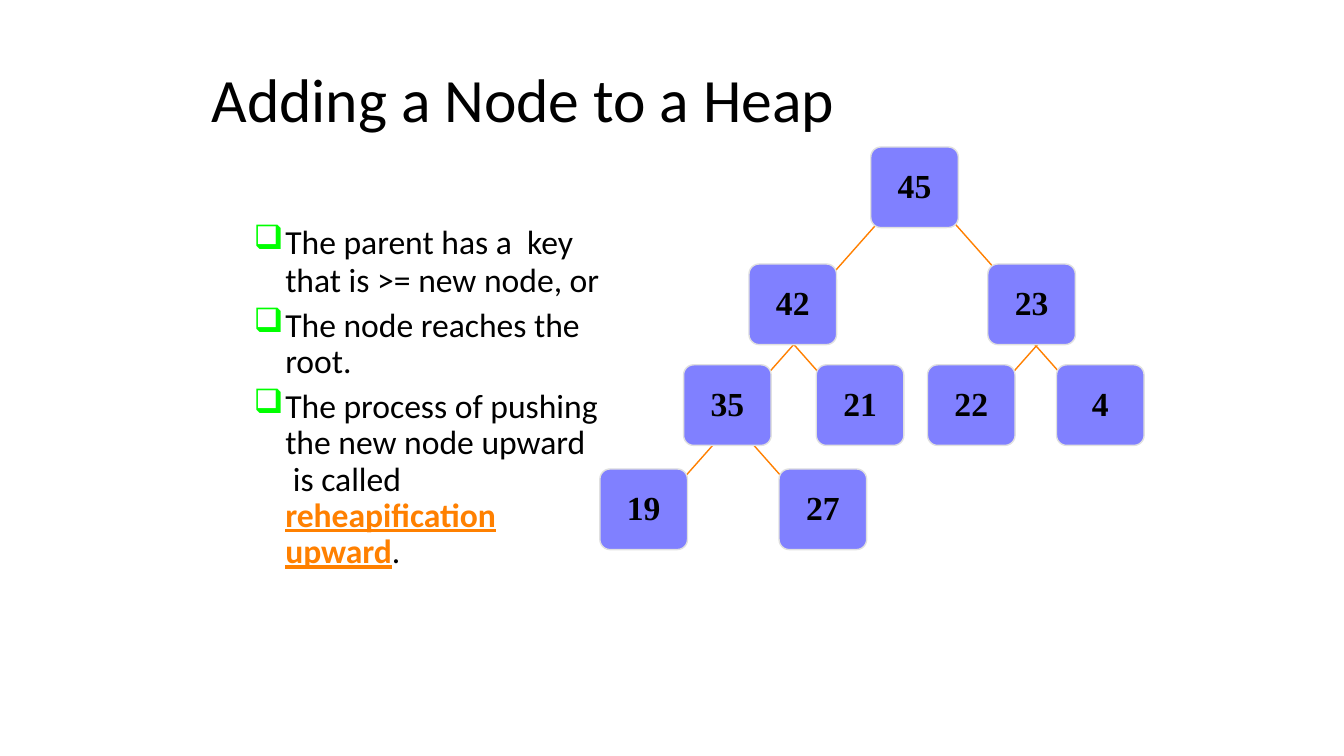
"""Build a slide on adding a node to a heap."""
from lxml import etree
from pptx import Presentation
from pptx.dml.color import RGBColor
from pptx.enum.shapes import MSO_CONNECTOR, MSO_SHAPE
from pptx.enum.text import MSO_ANCHOR, PP_ALIGN
from pptx.oxml.ns import qn
from pptx.util import Pt

STRAIGHT = MSO_CONNECTOR.STRAIGHT
ROUNDED = MSO_SHAPE.ROUNDED_RECTANGLE
MIDDLE = MSO_ANCHOR.MIDDLE
CENTER = PP_ALIGN.CENTER

COLORS = {
    "text": "000000",
    "accent": "FF8000",
    "bullet": "00FF00",
    "node": "8080FF",
    "border": "E0E0E0",
}
NODE_WIDTH, NODE_HEIGHT = 62.6, 57.6
EDGE_WIDTH, EDGE_HEIGHT = 44.6, 50.4
BULLET_INDENT = 22.5

LEVELS = [
    (105, [("45", 622)]),
    (188.6, [("42", 535), ("23", 705.6)]),
    (260.6, [("35", 488.3), ("21", 583.1), ("22", 662.5), ("4", 754.7)]),
    (335, [("19", 428.5), ("27", 556.5)]),
]
LEFT, RIGHT = -1, 1
EDGES = [
    (626.4, 159.8, LEFT),
    (679, 156.3, RIGHT),
    (579.6, 231.8, LEFT),
    (554.4, 231.8, RIGHT),
    (753.8, 231.8, LEFT),
    (726.5, 231.8, RIGHT),
    (519.8, 306, LEFT),
    (527.8, 306, RIGHT),
]
BULLETS = [
    (0.95, [("The parent has a  key that is >= new node, or", False)]),
    (0.9, [("The node reaches the root.", False)]),
    (0.9, [
        ("The process of pushing the new node upward\v is called\v", False),
        ("reheapification", True),
        ("\v", False),
        ("upward", True),
        (".", False),
    ]),
]


def color(name):
    return RGBColor.from_string(COLORS[name])


def style(paragraph, font_name, size, spacing):
    paragraph.line_spacing = spacing
    paragraph.font.name = font_name
    paragraph.font.size = Pt(size)


def add_text_frame(slide, left, top, width, height):
    box = slide.shapes.add_textbox(Pt(left), Pt(top), Pt(width), Pt(height))
    box.text_frame.word_wrap = True
    return box.text_frame


def add_title(slide, text):
    frame = add_text_frame(slide, 144, 27.4, 612, 90)
    frame.vertical_anchor = MIDDLE
    paragraph = frame.paragraphs[0]
    paragraph.text = text
    style(paragraph, "Calibri", 44, 0.95)
    paragraph.font.color.rgb = color("text")


def add_bullet(paragraph):
    properties = paragraph._p.get_or_add_pPr()
    properties.set("marL", str(Pt(BULLET_INDENT)))
    properties.set("indent", str(-Pt(BULLET_INDENT)))
    bullet_color = etree.SubElement(properties, qn("a:buClr"))
    etree.SubElement(bullet_color, qn("a:srgbClr"), val=COLORS["bullet"])
    etree.SubElement(properties, qn("a:buChar"), char="❑")


def add_bullet_list(slide, items):
    frame = add_text_frame(slide, 174.2, 156.2, 280.8, 273.6)
    for index, (spacing, runs) in enumerate(items):
        paragraph = frame.add_paragraph() if index else frame.paragraphs[0]
        add_bullet(paragraph)
        style(paragraph, "Calibri", 24, spacing)
        if index:
            paragraph.space_before = Pt(6)
        for text, is_term in runs:
            add_run(paragraph, text, is_term)


def add_run(paragraph, text, is_term):
    for index, line in enumerate(text.split("\v")):
        if index:
            paragraph.add_line_break()
        if line:
            run = paragraph.add_run()
            run.text = line
            run.font.color.rgb = color("accent" if is_term else "text")
            if is_term:
                run.font.bold = True
                run.font.underline = True


def add_edge(slide, x, y, direction):
    edge = slide.shapes.add_connector(
        STRAIGHT, Pt(x), Pt(y), Pt(x + direction * EDGE_WIDTH), Pt(y + EDGE_HEIGHT))
    edge.line.color.rgb = color("accent")
    edge.line.width = Pt(1)
    etree.SubElement(edge._element.spPr, qn("a:effectLst"))


def add_node(slide, key, left, top):
    node = slide.shapes.add_shape(
        ROUNDED, Pt(left), Pt(top), Pt(NODE_WIDTH), Pt(NODE_HEIGHT))
    node.adjustments[0] = 0.126
    node.shadow.inherit = False
    node.fill.solid()
    node.fill.fore_color.rgb = color("node")
    node.line.color.rgb = color("border")
    node.line.width = Pt(1)
    node.text_frame.vertical_anchor = MIDDLE
    paragraph = node.text_frame.paragraphs[0]
    paragraph.text = key
    paragraph.alignment = CENTER
    style(paragraph, "Times New Roman", 24, 0.95)
    paragraph.font.bold = True
    paragraph.font.color.rgb = color("text")


def main():
    presentation = Presentation()
    presentation.slide_width = Pt(960)
    presentation.slide_height = Pt(540)
    slide = presentation.slides.add_slide(presentation.slide_layouts[6])
    add_title(slide, "Adding a Node to a Heap")
    add_bullet_list(slide, BULLETS)
    for edge in EDGES:
        add_edge(slide, *edge)
    for top, nodes in LEVELS:
        for key, left in nodes:
            add_node(slide, key, left, top)
    presentation.save("out.pptx")


if __name__ == "__main__":
    main()
